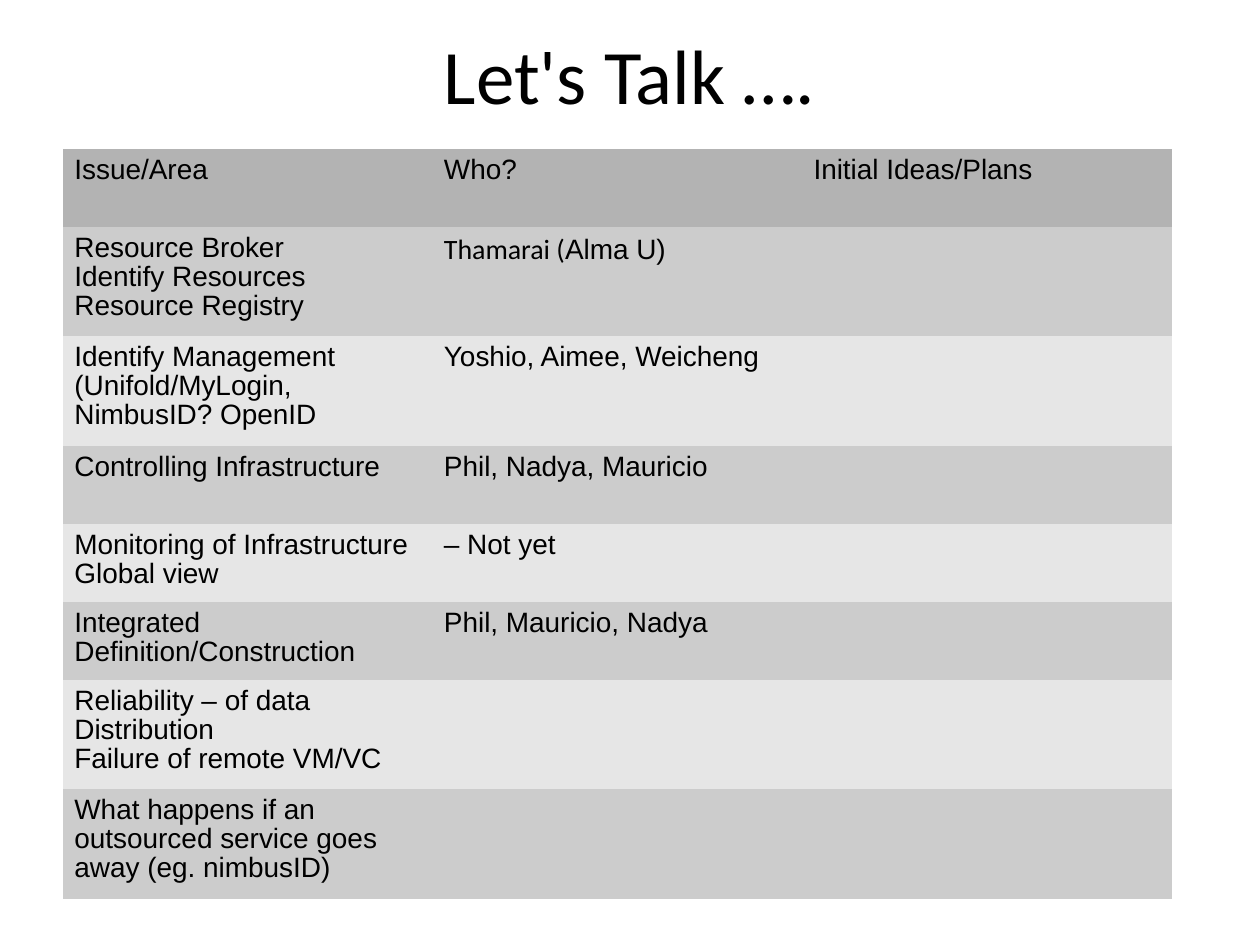
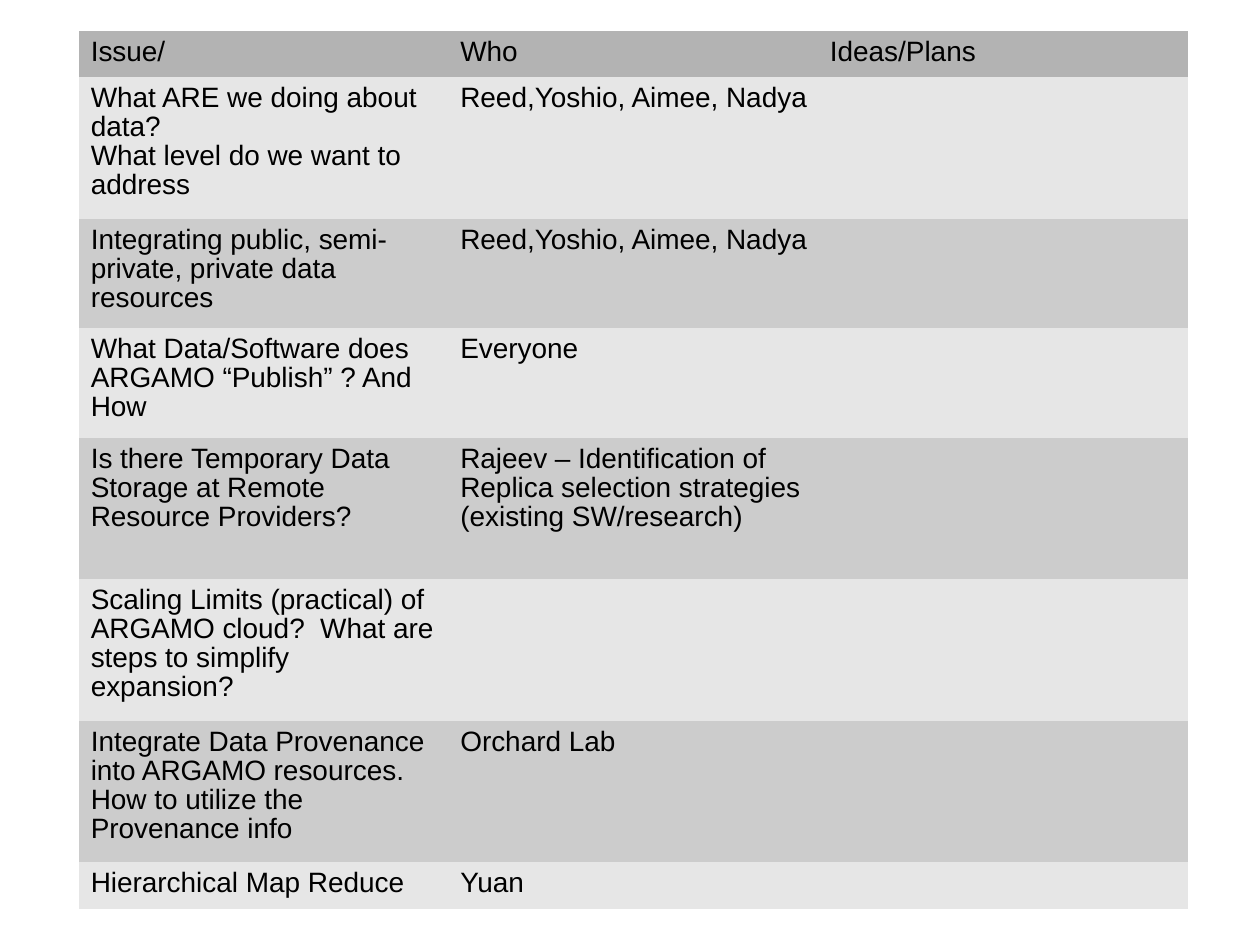
"""Build two slides of discussion tables listing issues, owners and plans."""
from dataclasses import dataclass

from lxml import etree
from pptx import Presentation
from pptx.dml.color import RGBColor
from pptx.enum import text as t
from pptx.oxml import ns
from pptx.util import Cm, Pt


@dataclass(frozen=True)
class Theme:
    ink: str = "000000"
    header: str = "B3B3B3"
    dark: str = "CCCCCC"
    light: str = "E6E6E6"
    border: str = "FFFFFF"
    title_font: str = "Calibri"
    body_font: str = "Arial"
    title_size: int = 44
    body_size: int = 16
    line_spacing: float = 0.93


THEME = Theme()
COLUMN_WIDTH = 7.45
ROW_PADDING = 0.29
LINE_HEIGHT = 0.64

CELL_FORMAT = {
    "margin_left": Cm(0.23),
    "margin_right": Cm(0.23),
    "margin_top": Cm(0.15),
    "margin_bottom": Cm(0.12),
    "vertical_anchor": t.MSO_ANCHOR.TOP,
}
TITLE_FORMAT = {
    "margin_left": Cm(0.25),
    "margin_right": Cm(0.25),
    "margin_top": Cm(0.1),
    "margin_bottom": Cm(0.13),
    "vertical_anchor": t.MSO_ANCHOR.MIDDLE,
    "word_wrap": True,
}
PLAIN_TABLE = {"first_row": False, "horz_banding": False}

TALK_HEADER = ("Issue/Area", "Who?", "Initial Ideas/Plans")
TALK_ROWS = [
    (3, "Resource Broker\nIdentify Resources\nResource Registry",
     [("Thamarai (", THEME.title_font), ("Alma U)", THEME.body_font)]),
    (3, "Identify Management\n(Unifold/MyLogin, NimbusID? OpenID", "Yoshio, Aimee, Weicheng"),
    (2, "Controlling Infrastructure", "Phil, Nadya, Mauricio"),
    (2, "Monitoring of Infrastructure\nGlobal view", "– Not yet"),
    (2, "Integrated Definition/Construction", "Phil, Mauricio, Nadya"),
    (3, "Reliability – of data Distribution\nFailure of remote VM/VC", ""),
    (3, "What happens if an outsourced service goes away (eg. nimbusID)", ""),
]

DATA_HEADER = ("Issue/", "Who", "Ideas/Plans")
DATA_ROWS = [
    (4, "What ARE we doing about data?\nWhat level do we want to address",
     "Reed,Yoshio, Aimee, Nadya"),
    (3, "Integrating public, semi-private, private data resources", "Reed,Yoshio, Aimee, Nadya"),
    (3, "What Data/Software does ARGAMO “Publish” ? And How", "Everyone"),
    (4, "Is there Temporary Data Storage at Remote Resource Providers?",
     "Rajeev – Identification of Replica selection strategies (existing SW/research)"),
    (4, "Scaling Limits (practical) of ARGAMO cloud?  What are steps to simplify expansion?", ""),
    (4, "Integrate Data Provenance into ARGAMO resources. How to utilize the Provenance info",
     "Orchard Lab"),
    (1, "Hierarchical Map Reduce", "Yuan"),
]


def apply_format(target, values):
    """Set every attribute named in a dict of format values."""
    for name, value in values.items():
        setattr(target, name, value)


def add_run(paragraph, words, font, size):
    """Append one run in the ink colour."""
    run = paragraph.add_run()
    run.text = words
    apply_format(run.font, {"name": font, "size": Pt(size)})
    run.font.color.rgb = RGBColor.from_string(THEME.ink)


def add_title(slide, words):
    """Add the centred slide title."""
    shape = slide.shapes.add_textbox(Cm(1.27), Cm(-0.08), Cm(22.86), Cm(3.18))
    apply_format(shape.text_frame, TITLE_FORMAT)
    paragraph = shape.text_frame.paragraphs[0]
    paragraph.alignment = t.PP_ALIGN.CENTER
    add_run(paragraph, words, THEME.title_font, THEME.title_size)


def set_borders(cell):
    """Give a cell hairline borders on all four sides."""
    properties = cell._tc.get_or_add_tcPr()
    for index, side in enumerate(("a:lnL", "a:lnR", "a:lnT", "a:lnB")):
        line = etree.Element(ns.qn(side), w="360")
        fill = etree.SubElement(line, ns.qn("a:solidFill"))
        etree.SubElement(fill, ns.qn("a:srgbClr"), val=THEME.border)
        properties.insert(index, line)


def fill_cell(cell, content, color):
    """Write a cell's text, given as a string or as runs with fonts."""
    apply_format(cell, CELL_FORMAT)
    cell.fill.solid()
    cell.fill.fore_color.rgb = RGBColor.from_string(color)
    set_borders(cell)
    if isinstance(content, str):
        lines = [[(line, THEME.body_font)] for line in content.split("\n")]
    else:
        lines = [content]
    for index, runs in enumerate(lines):
        frame = cell.text_frame
        paragraph = frame.add_paragraph() if index else frame.paragraphs[0]
        paragraph.line_spacing = THEME.line_spacing
        for words, font in runs:
            if words:
                add_run(paragraph, words, font, THEME.body_size)
        etree.SubElement(paragraph._p, ns.qn("a:endParaRPr"), sz=str(THEME.body_size * 100))


def add_issue_table(slide, left, top, header, header_lines, rows, bands):
    """Add a table whose row heights follow from their line counts."""
    entries = [(header_lines, *header)] + [(*row, "") for row in rows]
    heights = [ROW_PADDING + LINE_HEIGHT * entry[0] for entry in entries]
    table = slide.shapes.add_table(
        len(entries), len(header), Cm(left), Cm(top),
        Cm(COLUMN_WIDTH * len(header)), Cm(sum(heights))).table
    apply_format(table, PLAIN_TABLE)
    for column in table.columns:
        column.width = Cm(COLUMN_WIDTH)
    for index, (_, *contents) in enumerate(entries):
        table.rows[index].height = Cm(heights[index])
        color = bands[(index - 1) % 2] if index else THEME.header
        for cell, content in zip(table.rows[index].cells, contents):
            fill_cell(cell, content, color)


def main():
    """Build and save the presentation."""
    presentation = Presentation()
    apply_format(presentation, {"slide_width": Cm(25.4), "slide_height": Cm(19.05)})
    blank = presentation.slide_layouts[6]

    talk = presentation.slides.add_slide(blank)
    add_title(talk, "Let's Talk ….")
    add_issue_table(talk, 1.27, 3, TALK_HEADER, 2, TALK_ROWS, (THEME.dark, THEME.light))

    data = presentation.slides.add_slide(blank)
    add_issue_table(data, 1.6, 0.63, DATA_HEADER, 1, DATA_ROWS, (THEME.light, THEME.dark))

    presentation.save("out.pptx")


main()
